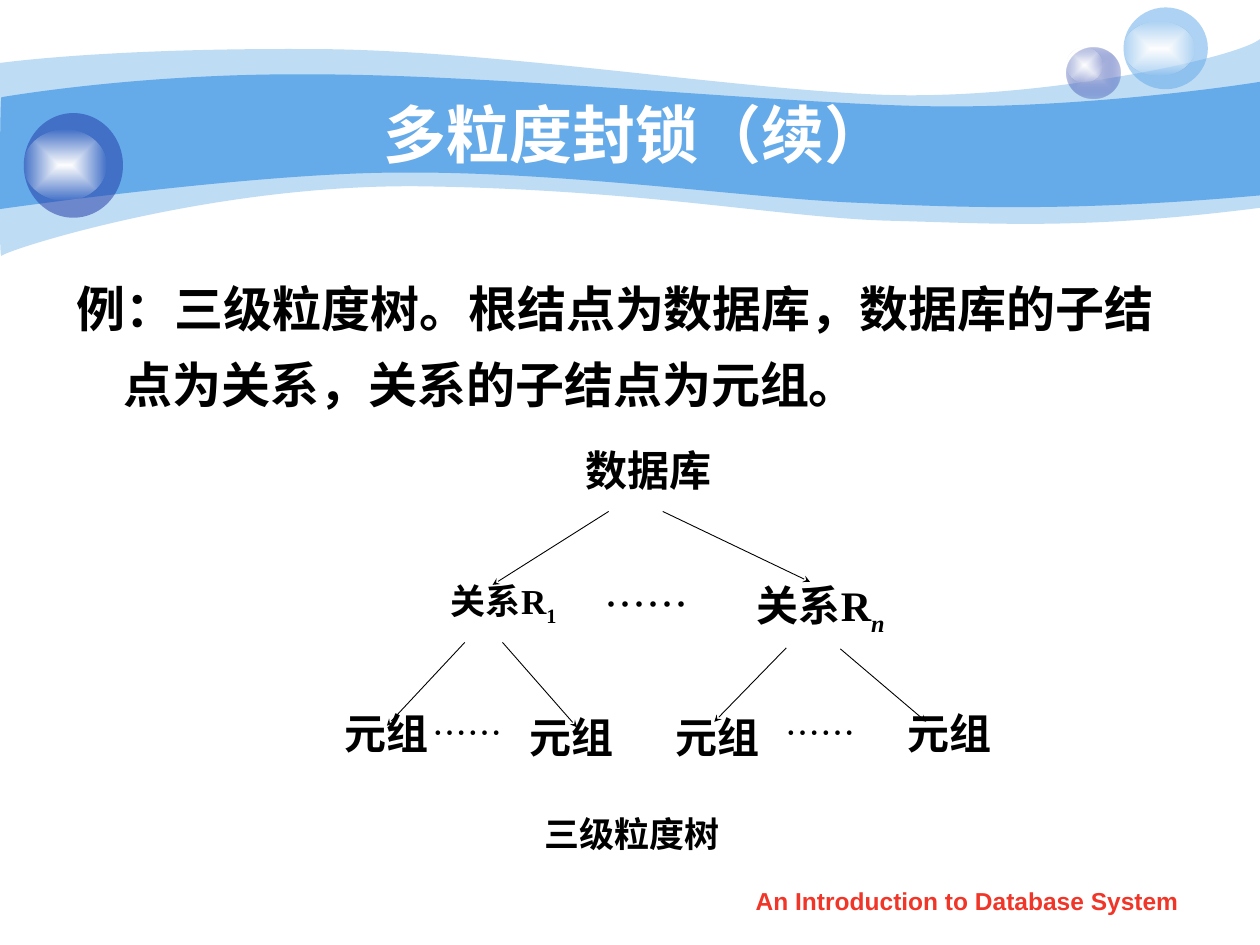
from dataclasses import dataclass

from lxml.etree import SubElement
from pptx import Presentation
from pptx.dml.color import RGBColor
from pptx.enum.shapes import MSO_CONNECTOR, MSO_SHAPE
from pptx.enum.text import MSO_ANCHOR, PP_ALIGN
from pptx.oxml.ns import qn
from pptx.util import Cm, Pt


@dataclass(frozen=True)
class Theme:
    sky: str = "65AAE9"
    navy: str = "233DA9"
    lilac: str = "C6CCE8"
    white: str = "FFFFFF"
    glow: str = "FEFEFE"
    ink: str = "000000"
    red: str = "F03628"
    sans: str = "Arial"
    serif: str = "Times New Roman"
    chinese: str = "Noto Sans CJK SC"
    title: int = 36
    body: int = 28
    node: int = 24
    small: int = 20
    footer: int = 14


class SlideBuilder:
    def __init__(self, page, theme):
        self.page = page
        self.theme = theme

    def fill(self, shape, color, opacity=None):
        shape.shadow.inherit = False
        shape.fill.solid()
        shape.fill.fore_color.rgb = RGBColor.from_string(color)
        shape.line.fill.background()
        if opacity is not None:
            tone = next(shape.element.spPr.iter(qn("a:srgbClr")))
            SubElement(tone, qn("a:alpha"), val=str(opacity * 1000))

    def wave(self, start, segments, color, opacity=None):
        """A segment is (end,) for a straight side or (control, control, end) for a curve."""
        builder = self.page.shapes.build_freeform(Cm(start[0]), Cm(start[1]))
        ends = [segment[-1] for segment in segments]
        builder.add_line_segments([(Cm(x), Cm(y)) for x, y in ends], close=True)
        shape = builder.convert_to_shape()
        sides = list(shape.element.spPr.iter(qn("a:lnTo")))
        for side, segment in zip(sides, segments):
            if len(segment) == 3:
                side.tag = qn("a:cubicBezTo")
                side.clear()
                for x, y in segment:
                    SubElement(side, qn("a:pt"), x=str(Cm(x) - shape.left),
                               y=str(Cm(y) - shape.top))
        self.fill(shape, color, opacity)

    def ellipse(self, left, top, width, height):
        return self.page.shapes.add_shape(
            MSO_SHAPE.OVAL, Cm(left), Cm(top), Cm(width), Cm(height))

    def disc(self, place, color, opacity):
        self.fill(self.ellipse(*place), color, opacity)

    def glow(self, place, inner, outer, opacity):
        shape = self.ellipse(*place)
        gradient = SubElement(shape.element.spPr, qn("a:gradFill"), rotWithShape="1")
        stops = SubElement(gradient, qn("a:gsLst"))
        for position, color, alpha in ((0, inner, 100), (100, outer, opacity)):
            stop = SubElement(stops, qn("a:gs"), pos=str(position * 1000))
            tone = SubElement(stop, qn("a:srgbClr"), val=color)
            SubElement(tone, qn("a:alpha"), val=str(alpha * 1000))
        center = SubElement(gradient, qn("a:path"), path="rect")
        SubElement(center, qn("a:fillToRect"), l="50000", t="50000", r="50000", b="50000")
        shape.line.fill.background()
        shape.shadow.inherit = False

    def arrow(self, x1, y1, x2, y2):
        line = self.page.shapes.add_connector(
            MSO_CONNECTOR.STRAIGHT, Cm(x1), Cm(y1), Cm(x2), Cm(y2))
        line.line.width = Pt(0.5)
        line.line.color.rgb = RGBColor.from_string(self.theme.ink)
        properties = line.element.spPr
        SubElement(properties.find(qn("a:ln")), qn("a:tailEnd"),
                   type="stealth", w="sm", len="sm")
        SubElement(properties, qn("a:effectLst"))

    def text(self, place, runs, size, font, color=None, bold=True, align=PP_ALIGN.CENTER,
             anchor=MSO_ANCHOR.TOP, spacing=None, indent=0, first=0, wrap=True):
        """Each run is (text, is_subscript, is_italic)."""
        box = self.page.shapes.add_textbox(*(Cm(value) for value in place))
        frame = box.text_frame
        frame.word_wrap = wrap
        frame.vertical_anchor = anchor
        para = frame.paragraphs[0]
        para.alignment = align
        if spacing:
            para.line_spacing = spacing
        if indent:
            properties = para._p.get_or_add_pPr()
            properties.set("marL", str(Cm(indent)))
            properties.set("indent", str(Cm(first)))
        for words, subscript, italic in runs:
            span = para.add_run()
            span.text = words
            span.font.size = Pt(size)
            span.font.bold = bold
            span.font.italic = italic
            span.font.name = font
            span.font.color.rgb = RGBColor.from_string(color or self.theme.ink)
            properties = span._r.get_or_add_rPr()
            SubElement(properties, qn("a:ea"), typeface=self.theme.chinese)
            if subscript:
                properties.set("baseline", "-25000")

    def node(self, place, words, size, index=None, italic=False):
        runs = [(words, False, False)]
        if index:
            runs.append((index, True, italic))
        self.text(place, runs, size, self.theme.serif, spacing=0.96)

    def dots(self, place, size, indent=0):
        self.text(place, [("……", False, False)], size, self.theme.chinese, bold=False,
                  align=PP_ALIGN.JUSTIFY, spacing=0.96, indent=indent)


def main():
    deck = Presentation()
    deck.slide_width, deck.slide_height = Cm(25.4), Cm(19.05)
    theme = Theme()
    slide = SlideBuilder(deck.slides.add_slide(deck.slide_layouts[6]), theme)

    # Banner waves: upper edge left to right, lower edge right to left
    slide.wave(
        (0, 1.27),
        [((0.61, 1.19), (2.72, 0.97), (6.27, 0.99)),
         ((9.8, 0.99), (14.61, 1.78), (17.75, 1.91)),
         ((20.88, 2.03), (24.89, 1.19), (25.4, 0.79)),
         ((25.4, 4.19),),
         ((21.79, 4.65), (19.99, 4.5), (17.91, 4.45)),
         ((15.8, 4.39), (13.08, 3.84), (8.71, 3.76)),
         ((4.37, 3.66), (0.1, 5.05), (0.03, 5.16)),
         ((-0.03, 5.28), (0, 1.91), (0, 1.27))],
        theme.sky, 41)
    slide.wave(
        (0.03, 1.96),
        [((0.05, 1.96), (2.79, 1.47), (6.3, 1.5)),
         ((9.8, 1.5), (15.11, 2.03), (18.24, 2.13)),
         ((21.36, 2.24), (24.79, 1.75), (25.4, 1.65)),
         ((25.4, 3.94),),
         ((21.67, 4.27), (19.43, 4.19), (17.32, 4.09)),
         ((15.21, 4.01), (11.35, 3.45), (8.05, 3.48)),
         ((5.16, 3.48), (-0.05, 4.22), (-0.03, 4.22)),
         ((0, 4.22), (0, 1.96), (0.03, 1.96))],
        theme.sky)

    # Glass balls with highlights
    slide.glow((21.51, 0.97, 1.07, 1.02), theme.lilac, theme.navy, 31)
    slide.glow((21.51, 0.97, 0.71, 0.69), theme.white, theme.glow, 0)
    slide.disc((22.65, 0.15, 1.7, 1.65), theme.sky, 53)
    slide.glow((22.65, 0.43, 1.42, 1.09), theme.white, theme.glow, 0)
    slide.disc((0.48, 2.28, 2, 2.11), theme.navy, 53)
    slide.glow((0.48, 2.62, 1.67, 1.42), theme.white, theme.glow, 0)

    # Title and body
    slide.text((2.55, 1.9, 20.52, 1.57), [("多粒度封锁（续）", False, False)],
               theme.title, theme.sans, theme.white, anchor=MSO_ANCHOR.MIDDLE)
    example = "例：三级粒度树。根结点为数据库，数据库的子结点为关系，关系的子结点为元组。"
    slide.text((1.3, 5.13, 22.86, 12.5), [(example, False, False)], theme.body, theme.sans,
               align=PP_ALIGN.LEFT, spacing=1.3, indent=0.95, first=-0.95)

    # Tree arrows
    for ends in ((12.27, 10.31, 9.93, 11.79), (13.36, 10.31, 16.33, 11.73),
                 (9.37, 12.95, 7.8, 14.63), (10.13, 12.95, 11.63, 14.66),
                 (15.85, 13.06, 14.4, 14.55), (16.94, 13.08, 18.67, 14.55)):
        slide.arrow(*ends)

    # Tree nodes
    slide.node((11.25, 8.9, 3.66, 1.63), "数据库", theme.node)
    slide.node((14.69, 11.56, 3.71, 1.45), "关系R", theme.node, "n", italic=True)
    slide.node((8.02, 11.56, 4.27, 2.31), "关系R", theme.small, "1")
    for place in ((6.35, 14.2, 2.9, 1.5), (17.31, 14.2, 3.66, 1.68),
                  (10.07, 14.28, 2.9, 1.5), (13.02, 14.28, 2.9, 1.5)):
        slide.node(place, "元组", theme.node)

    # Ellipses between siblings
    slide.dots((11.94, 11.61, 3.71, 1.22), theme.node)
    slide.dots((15.11, 14.27, 3.71, 1.68), theme.small, indent=0.47)
    slide.dots((8.15, 14.27, 3.71, 1.22), theme.small, indent=0.32)

    # Caption and footer
    slide.text((9.78, 16.26, 5.94, 1.12), [("三级粒度树", False, False)],
               theme.small, theme.serif, wrap=False)
    slide.text((14.5, 17.73, 10, 0.89), [("An Introduction to Database System", False, False)],
               theme.footer, theme.sans, theme.red)

    deck.save("out.pptx")


if __name__ == "__main__":
    main()
